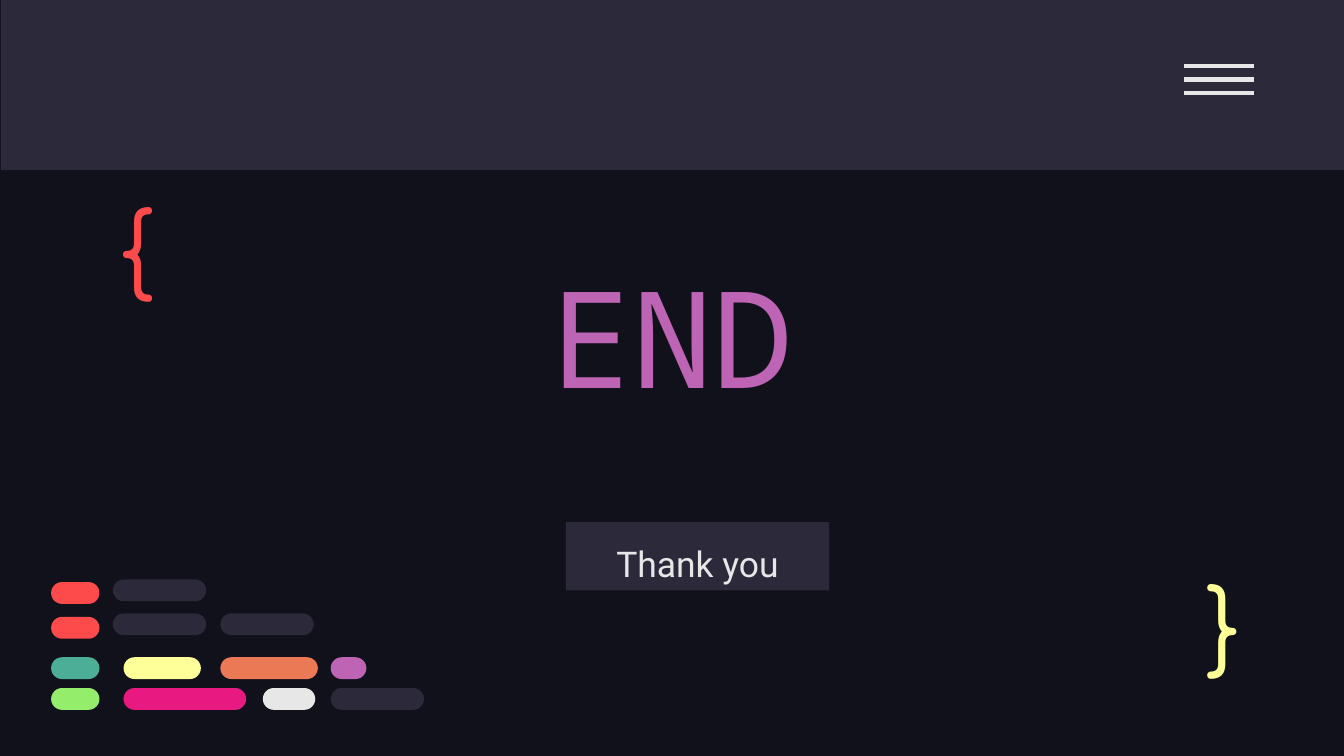
"""Build the closing slide with a code-editor look."""
from pptx import Presentation
from pptx.dml.color import RGBColor
from pptx.enum import shapes, text
from pptx.oxml import parse_xml
from pptx.util import Pt

DARK, LIGHT, RED, YELLOW, PURPLE = "2C293A", "E7E7E7", "FD4A4A", "FFFF99", "BD64B5"
A_NS = "http://schemas.openxmlformats.org/drawingml/2006/main"


def paint(fill, color):
    fill.solid()
    fill.fore_color.rgb = RGBColor.from_string(color)


def write(sp, box, words, size, font, color, align, anchor, spacing=1.0):
    sp.left, sp.top, sp.width, sp.height = map(Pt, box)
    tf = sp.text_frame
    frame = {"word_wrap": True, "auto_size": text.MSO_AUTO_SIZE.NONE,
             "vertical_anchor": anchor}
    frame.update({f"margin_{side}": Pt(7.2) for side in ("left", "top", "right", "bottom")})
    p = tf.paragraphs[0]
    r = p.add_run()
    r.text = words
    para = {"alignment": align, "line_spacing": spacing, "space_before": Pt(0)}
    chars = {"size": Pt(size), "name": font}
    for target, values in ((tf, frame), (p, para), (r.font, chars)):
        for name, value in values.items():
            setattr(target, name, value)
    paint(r.font.fill, color)


prs = Presentation()
prs.slide_width, prs.slide_height = Pt(720), Pt(405)
s = prs.slides.add_slide(prs.slide_layouts[0])
paint(s.background.fill, "10111A")

center, left = text.PP_ALIGN.CENTER, text.PP_ALIGN.LEFT
top, middle, bottom = text.MSO_ANCHOR.TOP, text.MSO_ANCHOR.MIDDLE, text.MSO_ANCHOR.BOTTOM
write(s.shapes.title, (80.6, 105.1, 559.4, 124.6), "END", 72,
      "Noto Sans Mono", PURPLE, center, bottom)
subtitle = s.placeholders[1]
paint(subtitle.fill, DARK)
write(subtitle, (303.1, 279.7, 141.1, 36.6), "Thank you", 19,
      "Roboto", LIGHT, center, top, 1.15)

header = s.shapes.add_shape(shapes.MSO_SHAPE.RECTANGLE, Pt(0.5), 0, Pt(719.5), Pt(91.2))
header.shadow.inherit = False
paint(header.fill, DARK)
header.line.fill.background()

for i in range(3):
    y = Pt(35.4 + 7.2 * i)
    bar = s.shapes.add_connector(shapes.MSO_CONNECTOR.STRAIGHT, Pt(634.5), y, Pt(671.8), y)
    bar.line.width = Pt(2.25)
    paint(bar.line.fill, LIGHT)
    bar._element.spPr.append(parse_xml(f'<a:effectLst xmlns:a="{A_NS}"/>'))

code_rows = [
    (311.8, [(27.4, 25.9, RED)]),
    (330.5, [(27.4, 25.9, RED)]),
    (352.1, [(27.4, 25.9, "4CAE97"), (66.2, 41.4, YELLOW),
             (118.1, 52.2, "EC7955"), (177.2, 19.1, PURPLE)]),
    (368.6, [(27.4, 25.9, "94EE6B"), (66.2, 65.7, "E81A81"),
             (140.8, 28.1, LIGHT), (177.2, 50, DARK)]),
    (328.6, [(60.5, 50, DARK), (118.1, 50, DARK)]),
    (310.4, [(60.5, 50, DARK)]),
]
for y, pills in code_rows:
    for x, width, color in pills:
        pill = s.shapes.add_shape(shapes.MSO_SHAPE.ROUNDED_RECTANGLE,
                                  Pt(x), Pt(y), Pt(width), Pt(11.7))
        pill.adjustments[0] = 0.5
        pill.shadow.inherit = False
        paint(pill.fill, color)
        pill.line.fill.background()

for box, brace, color, anchor in [((56.2, 92.9, 55.4, 68.4), "{", RED, top),
                                  ((639.4, 302.4, 41, 59.8), "}", YELLOW, middle)]:
    sp = s.shapes.add_textbox(0, 0, 0, 0)
    write(sp, box, brace, 50, "Comfortaa", color, left, anchor)

prs.save("out.pptx")
